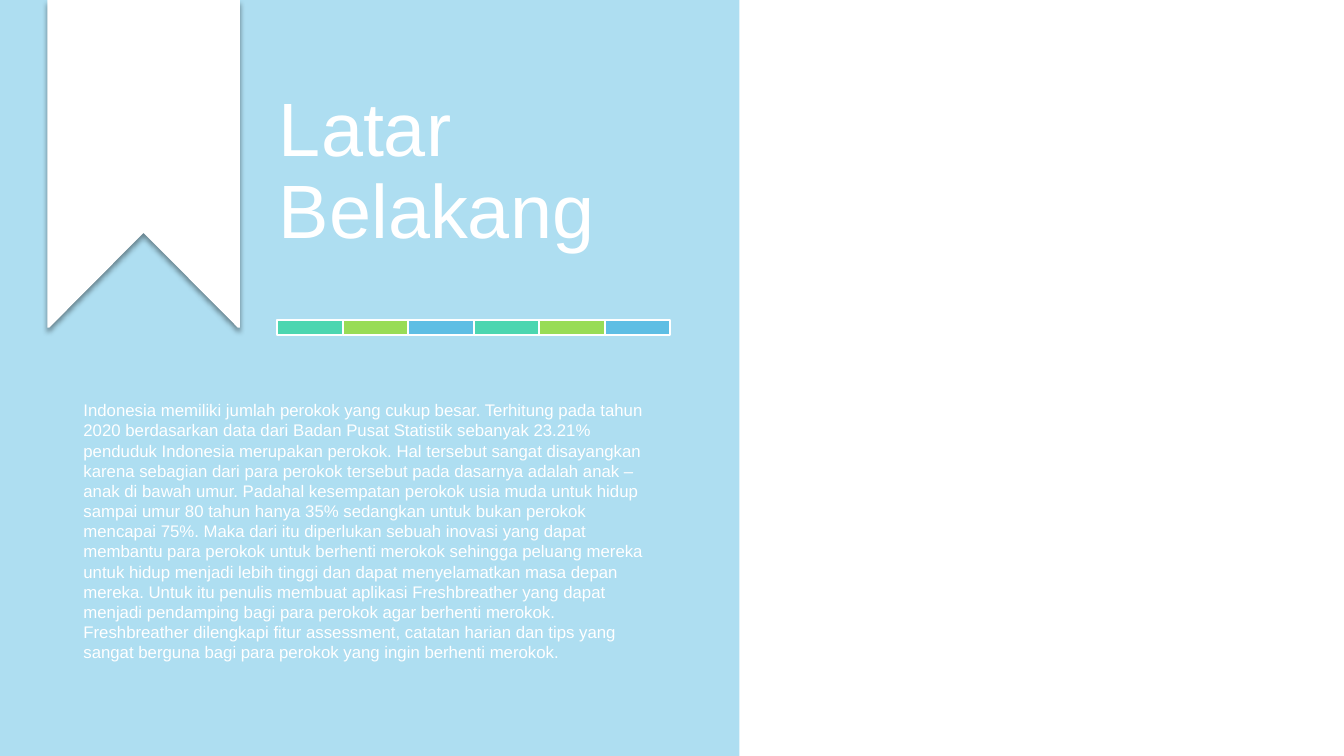
from dataclasses import dataclass
from lxml import etree
from pptx import Presentation
from pptx import util as u
from pptx.dml.color import RGBColor
from pptx.enum import shapes, text
from pptx.oxml import ns

Pt = u.Pt


@dataclass(frozen=True)
class Theme:
    white: str = "FFFFFF"
    black: str = "000000"
    blue: str = "5EBEE4"
    green: str = "98DC56"
    teal: str = "4CD6B0"
    font: str = "Arial"
    title: float = 54
    body: float = 12


theme = Theme()

STORY = (
    "Indonesia memiliki jumlah perokok yang cukup besar.",
    "Terhitung pada tahun 2020 berdasarkan data dari Badan Pusat Statistik "
    "sebanyak 23.21% penduduk Indonesia merupakan perokok.",
    "Hal tersebut sangat disayangkan karena sebagian dari para perokok tersebut "
    "pada dasarnya adalah anak – anak di bawah umur.",
    "Padahal kesempatan perokok usia muda untuk hidup sampai umur 80 tahun hanya "
    "35% sedangkan untuk bukan perokok mencapai 75%.",
    "Maka dari itu diperlukan sebuah inovasi yang dapat membantu para perokok "
    "untuk berhenti merokok sehingga peluang mereka untuk hidup menjadi lebih "
    "tinggi dan dapat menyelamatkan masa depan mereka.",
    "Untuk itu penulis membuat aplikasi Freshbreather yang dapat menjadi "
    "pendamping bagi para perokok agar berhenti merokok.",
    "Freshbreather dilengkapi fitur assessment, catatan harian dan tips yang "
    "sangat berguna bagi para perokok yang ingin berhenti merokok.",
)


def paint(shape, color):
    shape.shadow.inherit = False
    shape.fill.solid()
    shape.fill.fore_color.rgb = RGBColor.from_string(color)
    shape.line.fill.background()


def block(parent, box, color):
    shape = parent.add_shape(shapes.MSO_SHAPE.RECTANGLE, *map(Pt, box))
    paint(shape, color)
    return shape


def fade(color, alpha):
    etree.SubElement(color, ns.qn("a:alpha"), val=str(alpha * 1000))


def panel(slide, box):
    shape = block(slide.shapes, box, theme.blue)
    fade(shape._element.spPr.find(".//" + ns.qn("a:srgbClr")), 50)


def ribbon(slide, box):
    left, top, width, height = box
    right, base, edge, notch = left + width, top + height, 1.4, 67.7
    pen = slide.shapes.build_freeform(Pt(left), Pt(top), scale=1.0)
    points = [
        (right, top),
        (right, base),
        (right - edge, base),
        (left + width / 2, base - notch),
        (left + edge, base),
        (left, base),
    ]
    pen.add_line_segments([(Pt(x), Pt(y)) for x, y in points], close=True)
    shape = pen.convert_to_shape()
    paint(shape, theme.white)
    effects = shape._element.spPr.find(ns.qn("a:effectLst"))
    shadow = etree.SubElement(
        effects, ns.qn("a:outerShdw"),
        blurRad=str(Pt(4)), dist=str(Pt(3)), dir="5400000",
        algn="t", rotWithShape="0",
    )
    fade(etree.SubElement(shadow, ns.qn("a:srgbClr"), val=theme.black), 40)


def stripe(slide, box):
    left, top, width, height = box
    colors = (theme.teal, theme.green, theme.blue) * 2
    step = width / len(colors)
    group = slide.shapes.add_group_shape()
    for index, color in enumerate(colors):
        cell = block(group.shapes, (left + index * step, top, step, height), color)
        cell.line.color.rgb = RGBColor.from_string(theme.white)
        cell.line.width = Pt(1.5)


def write(slide, box, words, size):
    frame = slide.shapes.add_textbox(*map(Pt, box)).text_frame
    frame.word_wrap = True
    frame.text = words
    font = frame.paragraphs[0].runs[0].font
    font.name = theme.font
    font.size = Pt(size)
    font.color.rgb = RGBColor.from_string(theme.white)
    return frame


def title(slide, box):
    frame = write(slide, box, "Latar Belakang", theme.title)
    frame.vertical_anchor = text.MSO_ANCHOR.MIDDLE
    line = frame.paragraphs[0]
    line.line_spacing = 0.9
    line.space_before = Pt(10)


def story(slide, box):
    frame = write(slide, box, " ".join(STORY), theme.body)
    frame.auto_size = text.MSO_AUTO_SIZE.SHAPE_TO_FIT_TEXT


def intro(slide, box):
    left, top, width, height = box
    panel(slide, box)
    title(slide, (left + 192.2, top + 26.6, 291.6, 193.7))
    ribbon(slide, (left + 33.8, top, 137.5, 234))
    stripe(slide, (left + 198, top + 228.6, 280.8, 11))
    story(slide, (left + 52.5, top + 282.2, 423.4, 196.6))


deck = Presentation()
deck.slide_width, deck.slide_height = Pt(960), Pt(540)
page = deck.slides.add_slide(deck.slide_layouts[6])
intro(page, (0, 0, 528.2, 540))
deck.save("out.pptx")
